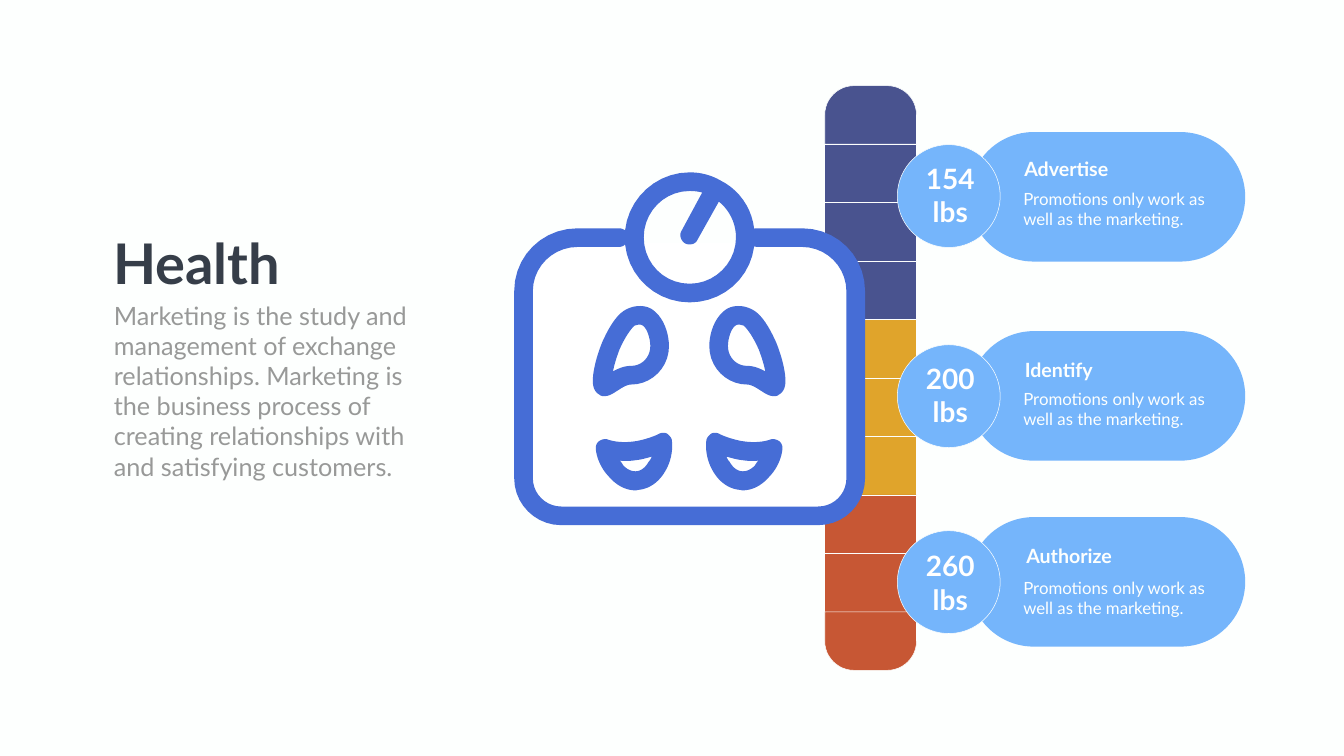
import pptx
import pptx.util
import pptx.dml.color
import pptx.enum.shapes
import pptx.enum.text

PX = 9144
FONT = "Lato"
COLORS = {
    "background": "FDFFFE", "pill": "75B5FB", "navy": "49538F", "amber": "E0A42B",
    "rust": "C75734", "icon": "466DD6", "white": "FFFFFF", "heading": "363E49",
    "body": "989998",
}
KIND = pptx.enum.shapes.MSO_SHAPE
ALIGN = pptx.enum.text.PP_ALIGN
rgb = {name: pptx.dml.color.RGBColor.from_string(value) for name, value in COLORS.items()}

prs = pptx.Presentation()
prs.slide_width = 2666 * PX
prs.slide_height = 1500 * PX
s = prs.slides.add_slide(prs.slide_layouts[6])
s.background.fill.solid()
s.background.fill.fore_color.rgb = rgb["background"]


def add_block(kind, box, color, radii=(), outlined=False):
    sp = s.shapes.add_shape(kind, *[v * PX for v in box])
    sp.shadow.inherit = False
    for i, radius in enumerate(radii):
        sp.adjustments[i] = radius
    sp.fill.solid()
    sp.fill.fore_color.rgb = rgb[color]
    if outlined:
        sp.line.color.rgb = rgb["background"]
        sp.line.width = pptx.util.Pt(0.75)
    else:
        sp.line.fill.background()


def add_text(box, lines, size, color, bold=False, align=ALIGN.LEFT, wrap=True):
    tf = s.shapes.add_textbox(*[v * PX for v in box]).text_frame
    tf.word_wrap = wrap
    tf.auto_size = pptx.enum.text.MSO_AUTO_SIZE.SHAPE_TO_FIT_TEXT
    for i, line in enumerate(lines):
        p = tf.add_paragraph() if i else tf.paragraphs[0]
        p.alignment = align
        r = p.add_run()
        r.text = line
        r.font.name = FONT
        r.font.size = pptx.util.Pt(size)
        r.font.bold = bold
        r.font.color.rgb = rgb[color]


levels = [
    {"weight": "154", "title": "Advertise", "pill": 262, "circle": 287,
     "number": 315, "heading": (2022, 307), "detail": 369},
    {"weight": "200", "title": "Identify", "pill": 657, "circle": 684,
     "number": 712, "heading": (2023, 705), "detail": 766},
    {"weight": "260", "title": "Authorize", "pill": 1026, "circle": 1053,
     "number": 1084, "heading": (2026, 1075), "detail": 1141},
]

for level in levels:
    add_block(KIND.ROUNDED_RECTANGLE, (1922, level["pill"], 548, 257), "pill", [0.5])

segments = ["navy"] * 4 + ["amber"] * 3 + ["rust"] * 3
for i, color in enumerate(segments):
    kind, radii = KIND.RECTANGLE, ()
    if i == 0:
        kind, radii = KIND.ROUND_2_SAME_RECTANGLE, (0.5, 0)
    elif i == len(segments) - 1:
        kind, radii = KIND.ROUND_2_SAME_RECTANGLE, (0, 0.5)
    add_block(kind, (1636, 170 + 116 * i, 182, 116), color, radii, outlined=True)

add_block(KIND.ROUNDED_RECTANGLE, (1057, 482, 634, 530), "white", [0.08])

scale_frame = [
    [(1591, 453), (1502, 453), (1500, 453, 1498, 453, 1496, 454),
     (1491, 411, 1465, 376, 1429, 358), (1410, 347, 1389, 342, 1368, 342),
     (1302, 342, 1247, 393, 1240, 457), (1237, 455, 1233, 453, 1227, 453),
     (1146, 453), (1076, 453, 1020, 508, 1020, 578), (1020, 949),
     (1020, 1000, 1062, 1042, 1113, 1042), (1623, 1042),
     (1675, 1042, 1716, 1000, 1716, 949), (1716, 578),
     (1716, 508, 1660, 453, 1591, 453)],
    [(1368, 379), (1377, 379, 1385, 380, 1393, 382), (1352, 458),
     (1347, 466, 1350, 477, 1359, 483), (1363, 485, 1366, 485, 1368, 485),
     (1375, 485, 1381, 482, 1384, 475), (1426, 400),
     (1446, 416, 1460, 442, 1460, 471), (1460, 522, 1418, 563, 1368, 563),
     (1317, 563, 1277, 522, 1277, 471), (1277, 421, 1317, 379, 1368, 379)],
    [(1679, 949), (1679, 980, 1654, 1005, 1623, 1005), (1113, 1005),
     (1083, 1005, 1057, 980, 1057, 949), (1057, 578),
     (1057, 529, 1097, 490, 1146, 490), (1227, 490),
     (1233, 490, 1237, 488, 1240, 485), (1247, 550, 1302, 600, 1368, 600),
     (1434, 600, 1488, 552, 1496, 489), (1498, 489, 1500, 490, 1502, 490),
     (1591, 490), (1639, 490, 1679, 529, 1679, 578), (1679, 949)],
]
heel = [
    [(1324, 861), (1320, 858, 1312, 858, 1307, 861), (1300, 865, 1275, 874, 1257, 876),
     (1228, 880, 1209, 873, 1208, 873), (1202, 870, 1195, 871, 1189, 875),
     (1184, 878, 1181, 885, 1182, 892), (1184, 911, 1194, 932, 1209, 947),
     (1224, 964, 1242, 973, 1261, 973), (1263, 973, 1265, 972, 1267, 972),
     (1287, 970, 1306, 958, 1319, 936), (1330, 918, 1335, 896, 1333, 876),
     (1333, 870, 1329, 865, 1324, 861)],
    [(1287, 916), (1280, 928, 1272, 934, 1263, 935), (1254, 936, 1244, 932, 1236, 923),
     (1234, 919, 1232, 917, 1230, 914), (1239, 915, 1249, 915, 1262, 913),
     (1272, 912, 1282, 909, 1293, 906), (1291, 910, 1290, 913, 1287, 916)],
]
sole = [
    [(1189, 783), (1192, 786, 1196, 786, 1199, 786), (1209, 786, 1217, 780, 1225, 775),
     (1233, 770, 1243, 763, 1252, 763), (1293, 763, 1327, 729, 1327, 687),
     (1327, 662, 1317, 630, 1294, 614), (1280, 605, 1261, 605, 1244, 613),
     (1222, 623, 1206, 654, 1195, 678), (1183, 707, 1176, 737, 1176, 755),
     (1176, 761, 1176, 776, 1189, 783)],
    [(1229, 693), (1243, 662, 1255, 649, 1259, 646), (1263, 645, 1266, 644, 1268, 644),
     (1271, 644, 1274, 645, 1275, 646), (1283, 651, 1290, 670, 1290, 687),
     (1290, 708, 1274, 726, 1252, 726), (1237, 726, 1225, 732, 1216, 737),
     (1218, 725, 1223, 709, 1229, 693)],
]

STEPS = 10
MIRROR = 2734
for contours, mirrored in [(scale_frame, False), (heel, False), (sole, False),
                           (heel, True), (sole, True)]:
    outlines = []
    for start, *pieces in contours:
        points = [start]
        for piece in pieces:
            if len(piece) == 2:
                points.append(piece)
                continue
            x0, y0 = points[-1]
            x1, y1, x2, y2, x3, y3 = piece
            for step in range(1, STEPS + 1):
                t = step / STEPS
                a, b, c, d = (1 - t) ** 3, 3 * t * (1 - t) ** 2, 3 * t * t * (1 - t), t ** 3
                points.append((a * x0 + b * x1 + c * x2 + d * x3,
                               a * y0 + b * y1 + c * y2 + d * y3))
        outlines.append([((MIRROR - x if mirrored else x) * PX, y * PX) for x, y in points])
    builder = s.shapes.build_freeform(*outlines[0][0], scale=1.0)
    builder.add_line_segments(outlines[0][1:], close=True)
    for outline in outlines[1:]:
        builder.move_to(*outline[0])
        builder.add_line_segments(outline[1:], close=True)
    sp = builder.convert_to_shape()
    sp.shadow.inherit = False
    sp.fill.solid()
    sp.fill.fore_color.rgb = rgb["icon"]
    sp.line.fill.background()

for level in levels:
    add_block(KIND.OVAL, (1780, level["circle"], 204, 204), "pill", outlined=True)
    add_text((1826, level["number"], 118, 145), [level["weight"], "lbs"], 40, "white",
             bold=True, align=ALIGN.CENTER)
    add_text((*level["heading"], 261, 57), [level["title"]], 28, "background", bold=True)
    add_text((2020, level["detail"], 463, 91),
             ["Promotions only work as", "well as the marketing."], 24, "background")

add_text((215, 448, 359, 145), ["Health"], 80, "heading", bold=True, wrap=False)
add_text((216, 590, 654, 374),
         ["Marketing is the study and management of exchange relationships. "
          "Marketing is the business process of creating relationships with "
          "and satisfying customers."], 36, "body")

prs.save("out.pptx")
